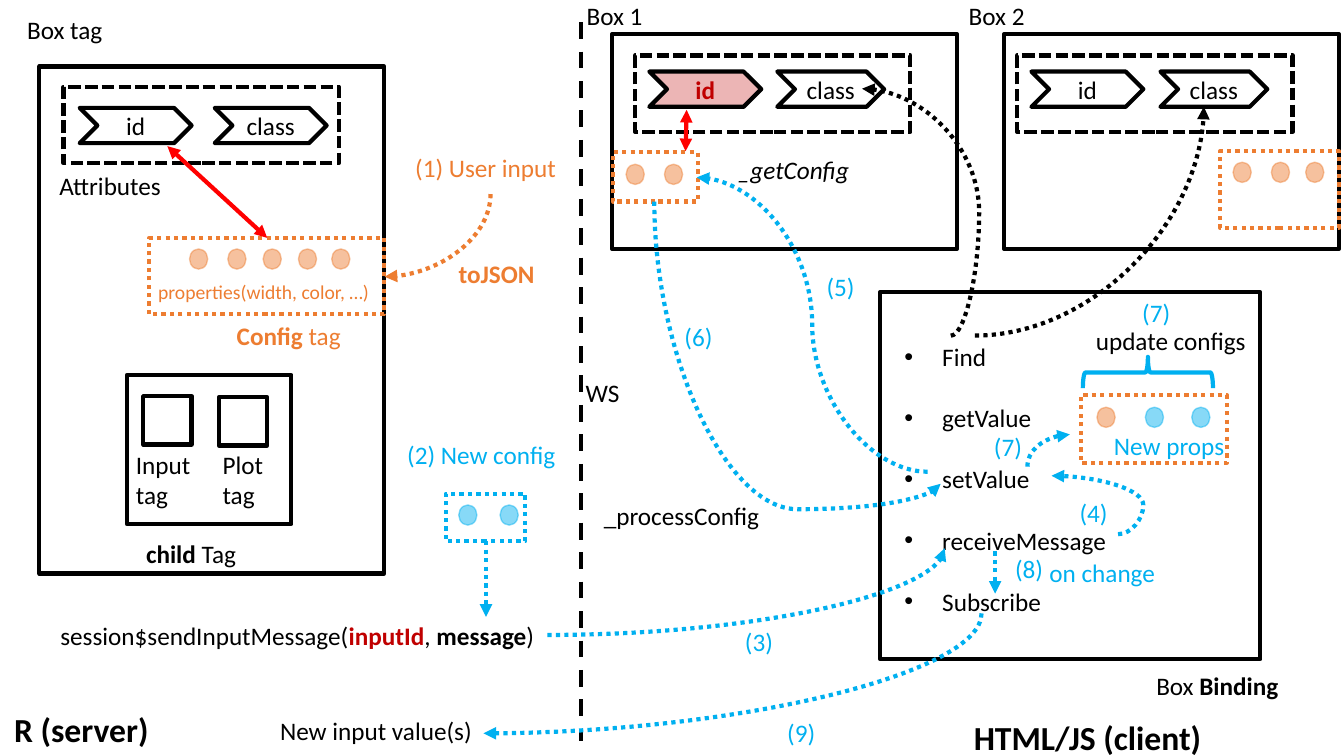
from dataclasses import dataclass
from typing import NamedTuple

from lxml.etree import SubElement
from pptx import Presentation
from pptx.dml.color import RGBColor
from pptx.enum.dml import MSO_LINE as Dash
from pptx.enum.shapes import MSO_CONNECTOR as Link, MSO_SHAPE as Form
from pptx.enum.text import MSO_ANCHOR as Anchor, MSO_AUTO_SIZE as Fit, PP_ALIGN as Align
from pptx.oxml.ns import qn
from pptx.util import Cm, Pt

BLACK, ORANGE, BLUE = "000000", "ED7D31", "00B0F0"
CRIMSON, RED = "C00000", "FF0000"
BOLD, ITALIC = {"bold": True}, {"italic": True}


class Run(NamedTuple):
    text: str
    color: str = BLACK
    style: dict = {}


class Label(NamedTuple):
    x: float
    y: float
    w: float
    runs: list
    size: int = 18
    wrap: bool = True
    h: float = 0.4


class Frame(NamedTuple):
    x: float
    y: float
    w: float
    h: float
    color: str = BLACK
    dash: Dash | None = None


class DotRow(NamedTuple):
    y: float
    color: str
    lefts: list


class Chevron(NamedTuple):
    x: float
    y: float
    w: float
    run: Run


class Straight(NamedTuple):
    start: tuple
    end: tuple
    color: str
    dash: Dash | None = None
    ends: tuple = ("tailEnd",)


@dataclass
class Curve:
    x: float
    y: float
    w: float
    h: float
    color: str = BLUE
    turn: int = 0
    flips: str = ""
    bend: float | None = None


FRAMES = [
    Frame(0.39, 0.66, 3.42, 5.03), Frame(1.26, 3.72, 1.63, 1.48),
    Frame(1.42, 3.93, 0.48, 0.48), Frame(2.17, 3.94, 0.48, 0.48),
    Frame(6.07, 0.34, 3.42, 2.13), Frame(9.96, 0.34, 3.32, 2.13),
    Frame(8.73, 2.9, 3.77, 3.64),
    *[Frame(x, y, 2.73, 0.76, BLACK, Dash.SQUARE_DOT)
      for x, y in ((0.63, 0.86), (6.3, 0.55), (10.09, 0.55))],
    *[Frame(*box, ORANGE, Dash.ROUND_DOT)
      for box in ((1.48, 2.36, 2.33, 0.76), (6.08, 1.51, 0.84, 0.49),
                  (12.1, 1.5, 1.18, 0.76), (10.72, 3.92, 1.45, 0.67))],
    Frame(4.42, 4.9, 0.79, 0.47, BLUE, Dash.ROUND_DOT),
]

DOT_ROWS = [
    DotRow(2.47, ORANGE, [1.88, 2.26, 2.61, 2.96, 3.29]),
    DotRow(1.63, ORANGE, [6.21, 6.59]),
    DotRow(1.61, ORANGE, [12.23, 12.61, 12.95]),
    DotRow(5.01, BLUE, [4.55, 4.96]),
    DotRow(4.04, ORANGE, [10.88]),
    DotRow(4.04, BLUE, [11.36, 11.82]),
]

CHEVRONS = [
    Chevron(0.79, 1.07, 1.11, Run("id")), Chevron(2.13, 1.07, 1.11, Run("class")),
    Chevron(6.44, 0.71, 1.11, Run("id", CRIMSON, BOLD)),
    Chevron(7.71, 0.71, 1.06, Run("class")),
    Chevron(10.23, 0.71, 1.11, Run("id")), Chevron(11.51, 0.71, 1.06, Run("class")),
]

STEPS = [("(3)", 7.29, 6.16), ("(4)", 10.61, 4.88), ("(5)", 8.1, 2.64),
         ("(6)", 6.69, 3.14), ("(7)", 11.23, 2.9), ("(7)", 9.76, 4.23),
         ("(8)", 9.97, 5.44), ("(9)", 7.71, 7.07)]

LABELS = [
    Label(0.17, 0.09, 0.95, [Run("Box tag")], wrap=False),
    Label(5.72, -0.05, 0.76, [Run("Box 1")], wrap=False),
    Label(9.51, -0.05, 0.76, [Run("Box 2")], wrap=False),
    Label(0.49, 1.64, 1.4, [Run("Attributes")]),
    Label(1.35, 5.29, 1.49, [Run("child ", BLACK, BOLD), Run("Tag ")]),
    Label(1.25, 4.41, 0.8, [Run("Input tag")], h=0.71),
    Label(2.11, 4.41, 0.78, [Run("Plot tag")], h=0.71),
    Label(2.25, 3.13, 1.63, [Run("Config ", ORANGE, BOLD), Run("tag", ORANGE)]),
    Label(4.02, 1.46, 1.8, [Run("(1) User input", ORANGE)]),
    Label(4.45, 2.51, 1.45, [Run("toJSON", ORANGE, BOLD)]),
    Label(1.47, 2.73, 2.32, [Run("properties(width, color, …)", ORANGE)], 14, h=0.34),
    Label(9.56, 7.06, 2.93, [Run("HTML/JS (client)", BLACK, BOLD)], 24, h=0.5),
    Label(11.37, 6.6, 1.74, [Run("Box "), Run("Binding", BLACK, BOLD)]),
    Label(0.5, 6.1, 4.93, [Run("session$sendInputMessage("), Run("inputId", CRIMSON, BOLD),
                           Run(", "), Run("message", BLACK, BOLD), Run(")")], wrap=False),
    Label(3.94, 4.31, 1.77, [Run("(2) New config", BLUE)]),
    Label(2.68, 7.05, 2.24, [Run("New input value(s)")]),
    Label(5.71, 3.69, 0.56, [Run("WS")]),
    Label(7.22, 1.48, 1.32, [Run("_getConfig", BLACK, ITALIC)], wrap=False),
    Label(5.89, 4.91, 1.76, [Run("_processConfig")], wrap=False),
    Label(10.31, 5.48, 1.26, [Run("on change", BLUE)], wrap=False),
    Label(10.77, 3.18, 1.71, [Run("update configs")], wrap=False),
    Label(10.95, 4.22, 1.31, [Run("New props", BLUE)], wrap=False),
    *[Label(x, y, 0.56, [Run(step, BLUE)]) for step, x, y in STEPS],
]

STRAIGHTS = [
    Straight((5.76, 0.22), (5.76, 7.35), BLACK, Dash.DASH, ()),
    Straight((4.82, 5.37), (4.82, 6.12), BLUE, Dash.ROUND_DOT),
    Straight((9.87, 5.47), (9.87, 5.89), BLUE, Dash.ROUND_DOT),
    Straight((1.66, 1.45), (2.65, 2.36), RED, None, ("headEnd", "tailEnd")),
    Straight((6.81, 1.09), (6.8, 1.5), RED, None, ("headEnd", "tailEnd")),
]

CURVES = [
    Curve(3.93, 1.81, 0.82, 1.05, ORANGE, 90),
    Curve(8.55, 0.88, 0.88, 2.45, BLACK, 180, bend=-0.32),
    Curve(9.67, 1.06, 2.27, 2.27, BLACK, flips="v"),
    Curve(6.67, 4.21, 1.19, 4.94, turn=90),
    Curve(5.43, 5.44, 3.94, 0.86, flips="v"),
    Curve(10.43, 4.72, 0.66, 0.58, flips="hv", bend=-0.38),
    Curve(6.91, 1.76, 2.29, 2.92, turn=180, bend=0.5),
    Curve(6.51, 1.98, 2.8, 2.84, turn=270, flips="h", bend=1.09),
    Curve(10.24, 4.26, 0.32, 0.42, turn=90, flips="hv"),
]


def place(*inches: float) -> list:
    return [Cm(value * 2.54) for value in inches]


def paint(fill, color: str, opacity: int = 100) -> None:
    fill.solid()
    fill.fore_color.rgb = RGBColor.from_string(color)
    if opacity < 100:
        tint = fill._xPr.find(f"{qn('a:solidFill')}/{qn('a:srgbClr')}")
        SubElement(tint, qn("a:alpha"), val=str(opacity * 1000))


def stroke(line, color: str, dash: Dash | None = None) -> None:
    paint(line.fill, color)
    for name, value in {"width": Pt(3), "dash_style": dash}.items():
        setattr(line, name, value)


def write(paragraph, runs: list, size: int = 18) -> None:
    for part in runs:
        run = paragraph.add_run()
        run.text = part.text
        look = {"name": "Calibri", "size": Pt(size), "bold": False, **part.style}
        for name, value in look.items():
            setattr(run.font, name, value)
        paint(run.font.fill, part.color)


def add_form(form: Form, *box: float):
    shape = slide.shapes.add_shape(form, *place(*box))
    shape.shadow.inherit = False
    shape.fill.background()
    return shape


def add_label(label: Label) -> None:
    frame = slide.shapes.add_textbox(*place(label.x, label.y, label.w, label.h)).text_frame
    frame.word_wrap = label.wrap
    frame.auto_size = Fit.SHAPE_TO_FIT_TEXT
    write(frame.paragraphs[0], label.runs, label.size)


def add_link(kind: Link, start: tuple, end: tuple, color: str, dash: Dash | None, ends: tuple):
    link = slide.shapes.add_connector(kind, *place(*start, *end))
    stroke(link.line, color, dash)
    properties = link._element.spPr
    for end_name in ends:
        SubElement(properties.find(qn("a:ln")), qn(f"a:{end_name}"), type="triangle")
    SubElement(properties, qn("a:effectLst"))
    return properties


def add_curve(curve: Curve) -> None:
    xs, ys = (curve.x, curve.x + curve.w), (curve.y, curve.y + curve.h)
    from_right, from_bottom = "h" in curve.flips, "v" in curve.flips
    properties = add_link(Link.CURVE, (xs[from_right], ys[from_bottom]),
                          (xs[not from_right], ys[not from_bottom]),
                          curve.color, Dash.ROUND_DOT, ("tailEnd",))
    properties.find(qn("a:xfrm")).set("rot", str(curve.turn * 60000))
    geometry = properties.find(qn("a:prstGeom"))
    if curve.bend is None:
        geometry.set("prst", "curvedConnector2")
    else:
        SubElement(geometry.find(qn("a:avLst")), qn("a:gd"), name="adj1",
                   fmla=f"val {round(curve.bend * 100000)}")


def fill_placeholder(holder, box: tuple, lines: list, size: int, gap: int) -> None:
    for name, value in zip(("left", "top", "width", "height"), place(*box)):
        setattr(holder, name, value)
    frame = holder.text_frame
    for name, value in {"auto_size": Fit.NONE, "vertical_anchor": Anchor.TOP,
                        "word_wrap": True}.items():
        setattr(frame, name, value)
    for index, line in enumerate(lines):
        paragraph = frame.add_paragraph() if index else frame.paragraphs[0]
        for name, value in {"alignment": Align.LEFT, "space_before": Pt(0),
                            "space_after": Pt(gap)}.items():
            setattr(paragraph, name, value)
        write(paragraph, [line], size)


deck = Presentation()
deck.slide_width, deck.slide_height = place(13.33, 7.5)
slide = deck.slides.add_slide(deck.slide_layouts[1])
server_title, binding_methods = slide.placeholders

fill_placeholder(server_title, (0.04, 6.98, 2.1, 0.5), [Run("R (server)", BLACK, BOLD)], 24, 0)
methods = ["Find", "getValue", "setValue", "receiveMessage", "Subscribe"]
fill_placeholder(binding_methods, (8.87, 3.34, 2.96, 2.83), [Run(m) for m in methods], 18, 22)

for panel in FRAMES:
    stroke(add_form(Form.RECTANGLE, *panel[:4]).line, panel.color, panel.dash)
for row in DOT_ROWS:
    for left in row.lefts:
        dot = add_form(Form.OVAL, left, row.y, 0.18, 0.2)
        paint(dot.fill, row.color, 47)
        paint(dot.line.fill, row.color, 44)
        dot.line.width = Pt(1)
for attribute in CHEVRONS:
    chevron = add_form(Form.CHEVRON, attribute.x, attribute.y, attribute.w, 0.35)
    stroke(chevron.line, BLACK)
    if attribute.run.color == CRIMSON:
        paint(chevron.fill, CRIMSON, 29)
    write(chevron.text_frame.paragraphs[0], [attribute.run])

update_brace = add_form(Form.LEFT_BRACE, 11.23, 3.05, 0.31, 1.29)
update_brace.rotation = 90
stroke(update_brace.line, BLUE)

for label in LABELS:
    add_label(label)
for straight in STRAIGHTS:
    add_link(Link.STRAIGHT, *straight)
for curve in CURVES:
    add_curve(curve)

deck.save("out.pptx")
